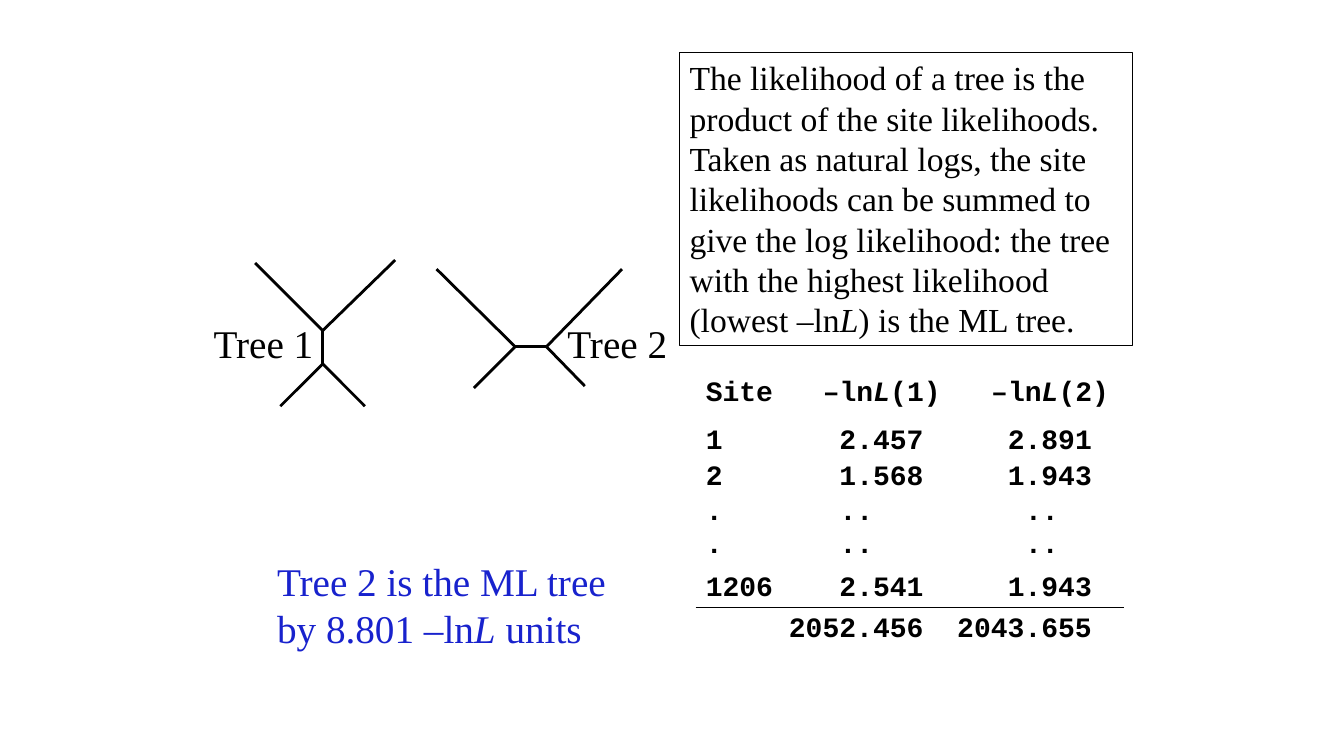
from dataclasses import dataclass
from lxml.etree import SubElement
from pptx import Presentation
from pptx.dml.color import RGBColor as RGB
from pptx.enum.shapes import MSO_CONNECTOR as LINK
from pptx.enum.text import MSO_ANCHOR as ANCHOR, PP_ALIGN as ALIGN
from pptx.oxml.ns import qn
from pptx.util import Inches, Pt


@dataclass(frozen=True)
class Theme:
    ink: RGB = RGB(0, 0, 0)
    blue: RGB = RGB(0x18, 0x22, 0xCD)
    serif: str = "Times New Roman"
    mono: str = "Courier New"
    large: int = 28
    body: int = 24
    small: int = 20
    branch: float = 2
    rule: float = 0.75


theme = Theme()


def write(frame, text, size=theme.large, font=theme.serif, color=theme.ink,
          bold=False, align=ALIGN.LEFT):
    frame.word_wrap = True
    para = frame.paragraphs[0]
    para.alignment = align
    for spot, part in enumerate(text.split("_")):
        if part:
            run = para.add_run()
            run.text = part
            run.font.size = Pt(size)
            run.font.name = font
            run.font.color.rgb = color
            run.font.bold = bold
            run.font.italic = spot % 2 == 1


def draw(start, end, width):
    points = [Inches(n) for n in (*start, *end)]
    line = slide.shapes.add_connector(LINK.STRAIGHT, *points)
    line.line.color.rgb = theme.ink
    line.line.width = Pt(width)
    SubElement(line._element.spPr, qn("a:effectLst"))


deck = Presentation()
deck.slide_width, deck.slide_height = Inches(13.33), Inches(7.5)
slide = deck.slides.add_slide(deck.slide_layouts[6])

claim = slide.shapes.add_textbox(Inches(6.74), Inches(0.52), Inches(4.49), Inches(2.91))
claim.line.color.rgb = theme.ink
claim.line.width = Pt(theme.rule)
write(claim.text_frame,
      "The likelihood of a tree is the product of the site likelihoods. "
      "Taken as natural logs, the site likelihoods can be summed to give "
      "the log likelihood: the tree with the highest likelihood "
      "(lowest –ln_L_) is the ML tree.", size=theme.body)

trees = [
    [((3.2, 3.28), [(2.53, 2.61), (3.92, 2.58)]),
     ((3.2, 3.61), [(2.78, 4.03), (3.62, 4.03)])],
    [((5.11, 3.44), [(4.33, 2.67), (4.7, 3.85)]),
     ((5.42, 3.44), [(6.17, 2.67), (5.8, 3.83)])],
]
for (node, tips), (mate, ends) in trees:
    draw(node, mate, theme.branch)
    for tip in tips:
        draw(node, tip, theme.branch)
    for tip in ends:
        draw(mate, tip, theme.branch)

labels = [
    ("Tree 1", 2.02, 3.12, 1.2, 0.57, theme.ink),
    ("Tree 2", 5.53, 3.12, 1.2, 0.57, theme.ink),
    ("Tree 2 is the ML tree by 8.801 –ln_L_ units", 2.65, 5.48, 3.78, 1.03, theme.blue),
]
for text, left, top, width, height, color in labels:
    box = slide.shapes.add_textbox(*[Inches(n) for n in (left, top, width, height)])
    write(box.text_frame, text, color=color)

head, number, dots = (0, 0, 0), (0, 0.17, 0.17), (0, 0.67, 0.5)
rows = [
    (0.48, head, ("Site", "–ln_L_(1)", "–ln_L_(2)")),
    (0.36, number, ("1", "2.457", "2.891")),
    (0.34, number, ("2", "1.568", "1.943")),
    (0.33, dots, (".", "..", "..")),
    (0.42, dots, (".", "..", "..")),
    (0.41, number, ("1206", "2.541", "1.943")),
    (0.32, number, ("", "2052.456", "2043.655")),
]
widths = (0.85, 1.58, 1.67)
grid = slide.shapes.add_table(
    len(rows), len(widths), Inches(6.9), Inches(3.75),
    Inches(sum(widths)), Inches(sum(row[0] for row in rows))).table
grid.first_row = grid.horz_banding = False
for column, width in zip(grid.columns, widths):
    column.width = Inches(width)
for r, (height, insets, texts) in enumerate(rows):
    grid.rows[r].height = Inches(height)
    for c, text in enumerate(texts):
        cell = grid.cell(r, c)
        cell.fill.background()
        cell.vertical_anchor = ANCHOR.TOP
        cell.margin_top = cell.margin_bottom = 0
        cell.margin_left = Inches(0 if c else 0.1)
        cell.margin_right = Inches(insets[c])
        write(cell.text_frame, text, size=theme.small, font=theme.mono, bold=True,
              align=ALIGN.RIGHT if c else ALIGN.LEFT)
draw((6.9, 6.03), (11.15, 6.03), theme.rule)

deck.save("out.pptx")
